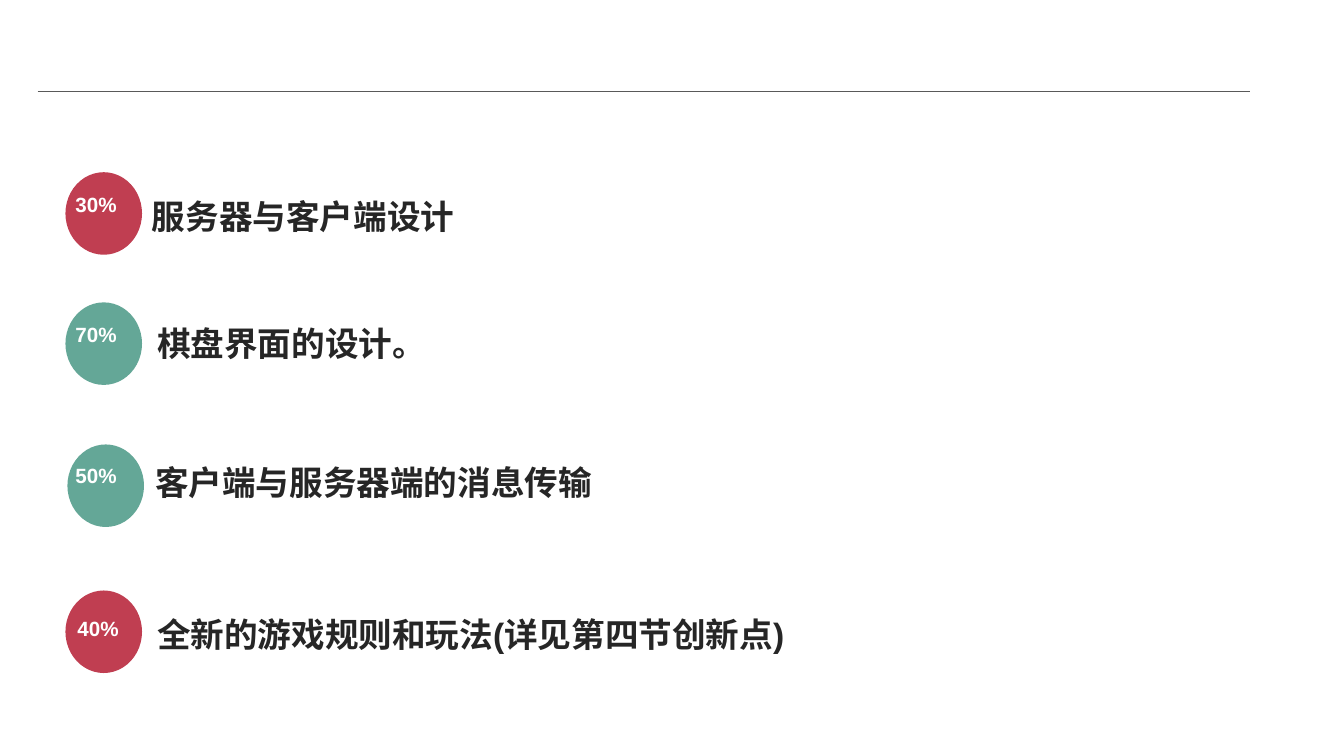
from pptx import Presentation
from pptx.dml.color import RGBColor
from pptx.enum.shapes import MSO_CONNECTOR, MSO_SHAPE
from pptx.enum.text import MSO_ANCHOR, PP_ALIGN
from pptx.oxml.ns import qn
from pptx.util import Cm, Pt
from lxml import etree

OVAL = MSO_SHAPE.OVAL
STRAIGHT = MSO_CONNECTOR.STRAIGHT
TOP = MSO_ANCHOR.TOP
LEFT = PP_ALIGN.LEFT

THEME = {
    "font": "Arial",
    "red": RGBColor(0xC0, 0x3E, 0x51),
    "green": RGBColor(0x64, 0xA7, 0x97),
    "ink": RGBColor(0x26, 0x26, 0x26),
    "white": RGBColor(0xFF, 0xFF, 0xFF),
    "rule": RGBColor(0x59, 0x59, 0x59),
    "task_size": Pt(24),
    "percent_size": Pt(14.7),
}

# Positions are (left, top) in centimetres.
TASKS = [
    {"task": "服务器与客户端设计", "percent": "30%", "color": "red",
     "circle": (1.65, 4.34), "label": (1.65, 4.7), "text": (3.58, 4.5), "width": 15.29},
    {"task": "棋盘界面的设计。", "percent": "70%", "color": "green",
     "circle": (1.65, 7.62), "label": (1.65, 7.98), "text": (3.71, 7.72), "width": 13.87},
    {"task": "客户端与服务器端的消息传输", "percent": "50%", "color": "green",
     "circle": (1.7, 11.2), "label": (1.65, 11.53), "text": (3.66, 11.2), "width": 13.87},
    {"task": "全新的游戏规则和玩法(详见第四节创新点)", "percent": "40%", "color": "red",
     "circle": (1.65, 14.88), "label": (1.7, 15.39), "text": (3.71, 15.04), "width": 20.73},
]
CIRCLE_SIZE = (1.93, 2.08)
LABEL_SIZE = (2.01, 1.24)
TEXT_HEIGHT = 1.93
RULE_LEFT, RULE_RIGHT, RULE_Y = 0.95, 31.5, 2.3


def box(position, size):
    return [Cm(v) for v in (*position, *size)]


def add_text(s, text, position, size, font_size, color, wrap=True, spacing=None):
    tf = s.shapes.add_textbox(*box(position, size)).text_frame
    tf.text = text
    tf.word_wrap = wrap
    tf.vertical_anchor = TOP
    p = tf.paragraphs[0]
    p.alignment = LEFT
    if spacing:
        p.line_spacing = spacing
    font = p.runs[0].font
    font.name = THEME["font"]
    font.size = font_size
    font.bold = True
    font.color.rgb = color


def add_circle(s, position, color):
    sp = s.shapes.add_shape(OVAL, *box(position, CIRCLE_SIZE))
    sp.shadow.inherit = False
    sp.fill.solid()
    sp.fill.fore_color.rgb = color
    sp.line.fill.background()


def add_rule(s):
    rule = s.shapes.add_connector(
        STRAIGHT, Cm(RULE_LEFT), Cm(RULE_Y), Cm(RULE_RIGHT), Cm(RULE_Y))
    rule.line.color.rgb = THEME["rule"]
    rule.line.width = Pt(0.5)
    etree.SubElement(rule._element.spPr, qn("a:effectLst"))


def main():
    prs = Presentation()
    prs.slide_width, prs.slide_height = Cm(33.87), Cm(19.05)
    s = prs.slides.add_slide(prs.slide_layouts[6])
    for row in TASKS:
        add_text(s, row["task"], row["text"], (row["width"], TEXT_HEIGHT),
                 THEME["task_size"], THEME["ink"], spacing=1.3)
        add_circle(s, row["circle"], THEME[row["color"]])
        add_text(s, row["percent"], row["label"], LABEL_SIZE,
                 THEME["percent_size"], THEME["white"], wrap=False)
    add_rule(s)
    prs.save("out.pptx")


if __name__ == "__main__":
    main()
